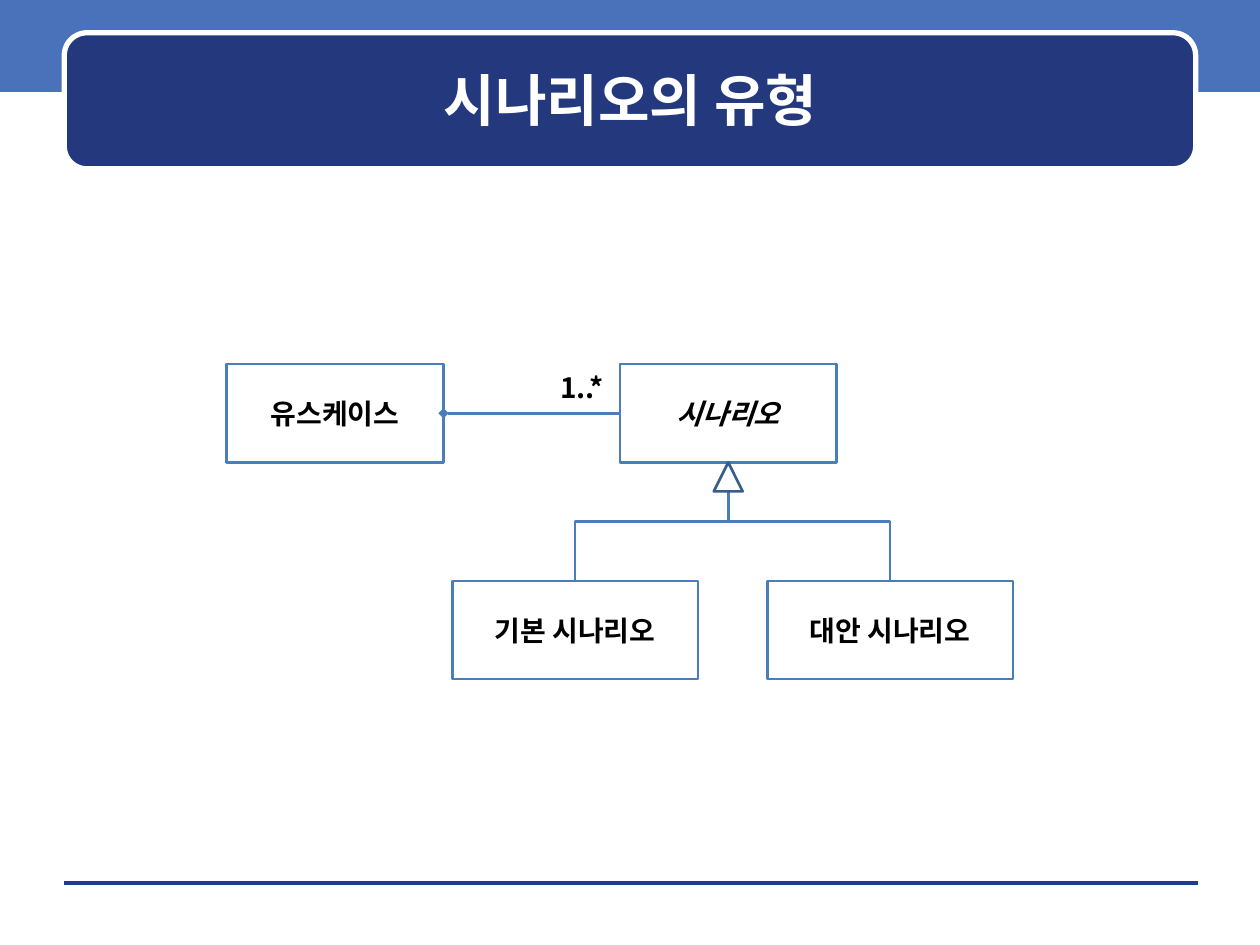
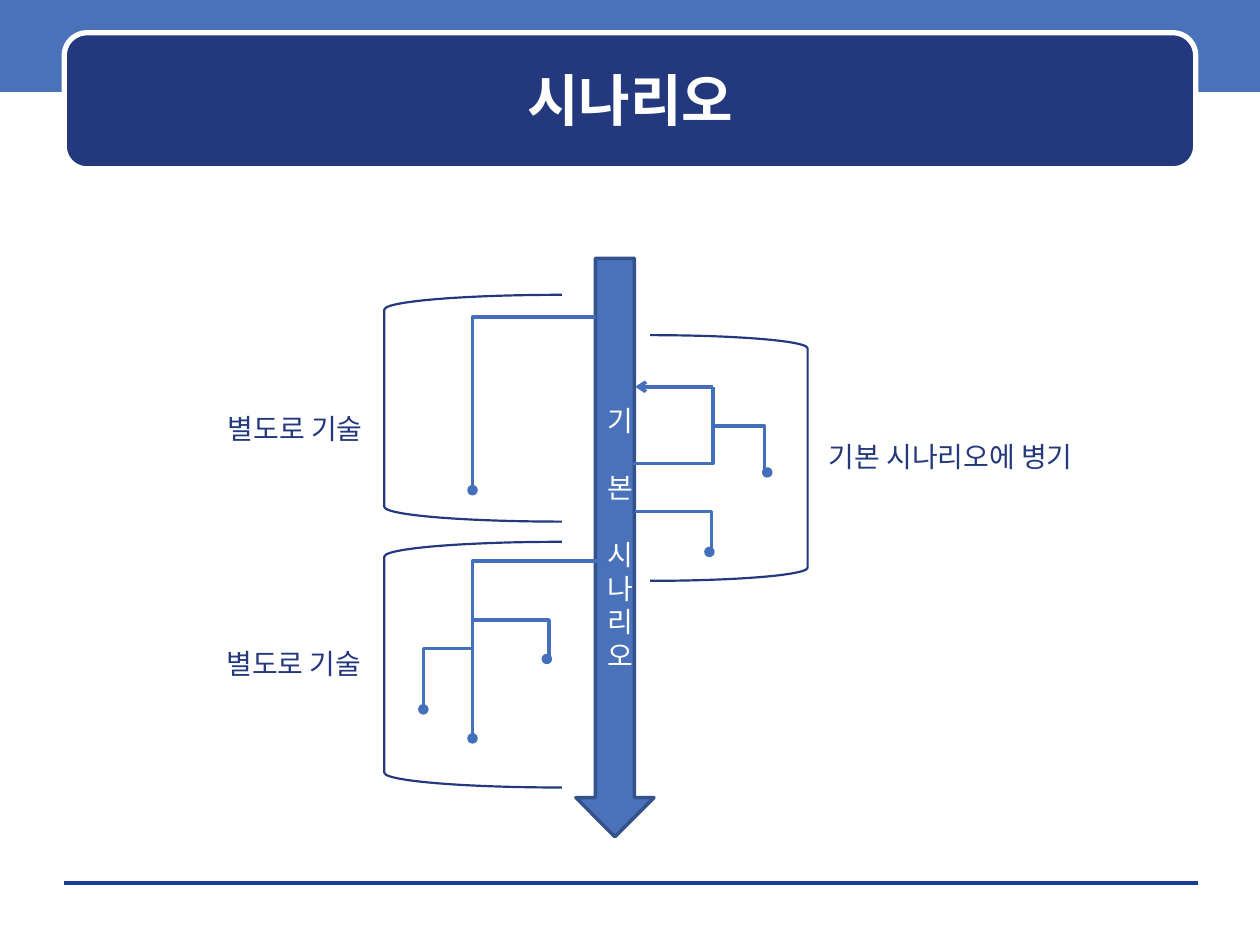
from lxml import etree
from pptx import Presentation
from pptx import util as u
from pptx.dml.color import RGBColor
from pptx.enum import shapes, text
from pptx.oxml.ns import qn

FONT = "Noto Sans CJK KR"
WIDE, HIGH = 10, 7.5
NAVY, BAND, RULE = "23387D", "4972BB", "1A3D97"
EDGE, ROUTE, DARK, RIM = "4A7EBB", "446FBA", "385D8A", "335289"
WHITE, BLACK = "FFFFFF", "000000"
KIND, LINK = shapes.MSO_SHAPE, shapes.MSO_CONNECTOR
MID = text.PP_ALIGN.CENTER

TITLES = ["시나리오의 유형", "시나리오"]

# Class diagram: label, left, top, width, italic
BOX_H = 0.78
ROW1, ROW2 = 2.89, 4.61
BOXES = [
    ("유스케이스", 1.8, ROW1, 1.72, False),
    ("시나리오", 4.92, ROW1, 1.72, True),
    ("기본 시나리오", 3.59, ROW2, 1.95, False),
    ("대안 시나리오", 6.09, ROW2, 1.95, False),
]

# Scenario flow: start, end, first leg is vertical, place of the bend
TRUNK = ["기", "본", "시", "나리오"]
BRANCHES = [
    ((4.72, 2.5), (3.75, 3.89), True, 0.011, "oval"),
    ((5.04, 3.69), (5.66, 3.07), True, 0.018, None),
    ((5.66, 3.38), (6.09, 3.75), False, 0.947, "oval"),
    ((5.04, 4.06), (5.63, 4.38), False, 1.029, "oval"),
    ((4.78, 4.45), (3.75, 5.86), True, 0.003, "oval"),
    ((3.75, 4.92), (4.34, 5.23), False, 1.029, "oval"),
    ((3.75, 5.16), (3.36, 5.63), True, -0.027, "oval"),
]
BRACKETS = [
    (KIND.RIGHT_BRACKET, (5.16, 2.66, 1.25, 1.95)),
    (KIND.LEFT_BRACKET, (3.05, 2.34, 1.41, 1.8)),
    (KIND.LEFT_BRACKET, (3.05, 4.3, 1.41, 1.95)),
]
NOTES = [
    ("기본 시나리오에 병기", (6.48, 3.44, 2.16, 0.37)),
    ("별도로 기술", (1.71, 3.22, 1.28, 0.37)),
    ("별도로 기술", (1.7, 5.08, 1.28, 0.37)),
]


def rgb(code):
    return RGBColor.from_string(code)


def inches(nums):
    return [u.Inches(n) for n in nums]


def write(frame, lines, size, color, bold=False, italic=False, align=None):
    for i, line in enumerate(lines):
        para = frame.paragraphs[0] if i == 0 else frame.add_paragraph()
        para.text = line
        para.alignment = align
        font = para.font
        font.name, font.size = FONT, u.Pt(size)
        font.bold, font.italic = bold, italic
        font.color.rgb = rgb(color)
        for run in para.runs:
            run.font.name = FONT
            east = etree.SubElement(run._r.rPr, qn("a:ea"))
            east.set("typeface", FONT)


def draw(slide, kind, area, fill=None, line=None, width=1.5):
    shape = slide.shapes.add_shape(kind, *inches(area))
    shape.shadow.inherit = False
    if fill:
        shape.fill.solid()
        shape.fill.fore_color.rgb = rgb(fill)
    else:
        shape.fill.background()
    if line:
        shape.line.color.rgb = rgb(line)
        shape.line.width = u.Pt(width)
    else:
        shape.line.fill.background()
    return shape


def label(slide, words, area, color, bold=False):
    frame = slide.shapes.add_textbox(*inches(area)).text_frame
    frame.word_wrap = False
    write(frame, [words], 16, color, bold)


def join(slide, start, end, color, width, kind=LINK.STRAIGHT, head=None, tail=None):
    link = slide.shapes.add_connector(kind, *inches(start + end))
    link.line.color.rgb = rgb(color)
    link.line.width = u.Pt(width)
    for tag, tip in (("a:headEnd", head), ("a:tailEnd", tail)):
        if tip:
            etree.SubElement(link.line._get_or_add_ln(), qn(tag)).set("type", tip)
    etree.SubElement(link._element.spPr, qn("a:effectLst"))
    return link


def bend(slide, start, end, upright, share, color, width, tail=None):
    """Elbow line whose first leg is vertical if upright; share places the bend."""
    link = join(slide, start, end, color, width, LINK.ELBOW, tail=tail)
    geom = link._element.spPr.find(qn("a:prstGeom"))
    guide = etree.SubElement(geom.find(qn("a:avLst")), qn("a:gd"))
    guide.set("name", "adj1")
    guide.set("fmla", f"val {round(share * 100000)}")
    if upright:
        (x1, y1), (x2, y2) = start, end
        wide, high = abs(y2 - y1), abs(x2 - x1)
        link.left, link.top, link.width, link.height = inches(
            ((x1 + x2 - wide) / 2, (y1 + y2 - high) / 2, wide, high))
        form = link._element.spPr.find(qn("a:xfrm"))
        form.set("rot", str(90 * 60000))
        form.set("flipH", str(int(y2 < y1)))
        form.set("flipV", str(int(x2 > x1)))


def dress(layout, slide):
    """Move the band, rule and title panel from the slide to its layout."""
    parts = [
        draw(slide, KIND.RECTANGLE, (0, -0.03, WIDE, 0.76), BAND),
        join(slide, (0.51, 7.01), (9.51, 7.01), RULE, 0),
        draw(slide, KIND.ROUNDED_RECTANGLE, (0.51, 0.26, 8.98, 1.08), NAVY, WHITE, 3),
    ]
    for i, part in enumerate(parts):
        layout.shapes._spTree.insert(2 + i, part._element)


def head(slide, words):
    title = slide.shapes.title
    title.left, title.top, title.width, title.height = inches((0.6, 0.35, 8.81, 0.88))
    title.text_frame.vertical_anchor = text.MSO_ANCHOR.MIDDLE
    write(title.text_frame, [words], 32, WHITE, True, align=MID)


def classes(slide):
    boxes = []
    for words, left, top, wide, slant in BOXES:
        box = draw(slide, KIND.RECTANGLE, (left, top, wide, BOX_H), line=EDGE)
        write(box.text_frame, [words], 16, BLACK, True, slant, MID)
        boxes.append(box)
    case, base = boxes[:2]
    y = ROW1 + BOX_H / 2
    link = join(slide, (3.52, y), (4.92, y), EDGE, 1.5, head="diamond")
    link.begin_connect(case, 3)
    link.end_connect(base, 1)
    label(slide, "1..*", (4.35, ROW1, 0.57, 0.37), BLACK, True)
    hub, foot = 5.78, ROW1 + BOX_H
    for _, left, top, wide, _ in BOXES[2:]:
        bend(slide, (hub, foot), (left + wide / 2, top), True, 0.5, EDGE, 1.5)
    tip = 0.23
    draw(slide, KIND.ISOSCELES_TRIANGLE, (hub - tip / 2, foot, tip, tip), WHITE, DARK)


def flow(slide):
    trunk = draw(slide, KIND.DOWN_ARROW, (4.57, 2.05, 0.62, 4.59), BAND, RIM, 2)
    frame = trunk.text_frame
    frame.word_wrap = True
    write(frame, TRUNK, 16, WHITE, align=MID)
    for para in frame.paragraphs:
        para.line_spacing = u.Pt(19.2)
    for para in frame.paragraphs[1:3]:
        para.space_before = u.Pt(19.2)
    for start, end, upright, share, tail in BRANCHES:
        bend(slide, start, end, upright, share, ROUTE, 2, tail)
    join(slide, (5.66, 3.07), (5.04, 3.07), ROUTE, 2, tail="arrow")
    for kind, area in BRACKETS:
        draw(slide, kind, area, line=NAVY, width=1.25)
    for words, area in NOTES:
        label(slide, words, area, NAVY)


def main():
    deck = Presentation()
    deck.slide_width, deck.slide_height = inches((WIDE, HIGH))
    layout = deck.slide_layouts.get_by_name("Title Only")
    for words, build in zip(TITLES, (classes, flow)):
        slide = deck.slides.add_slide(layout)
        if build is classes:
            dress(layout, slide)
        head(slide, words)
        build(slide)
    deck.save("out.pptx")


if __name__ == "__main__":
    main()
